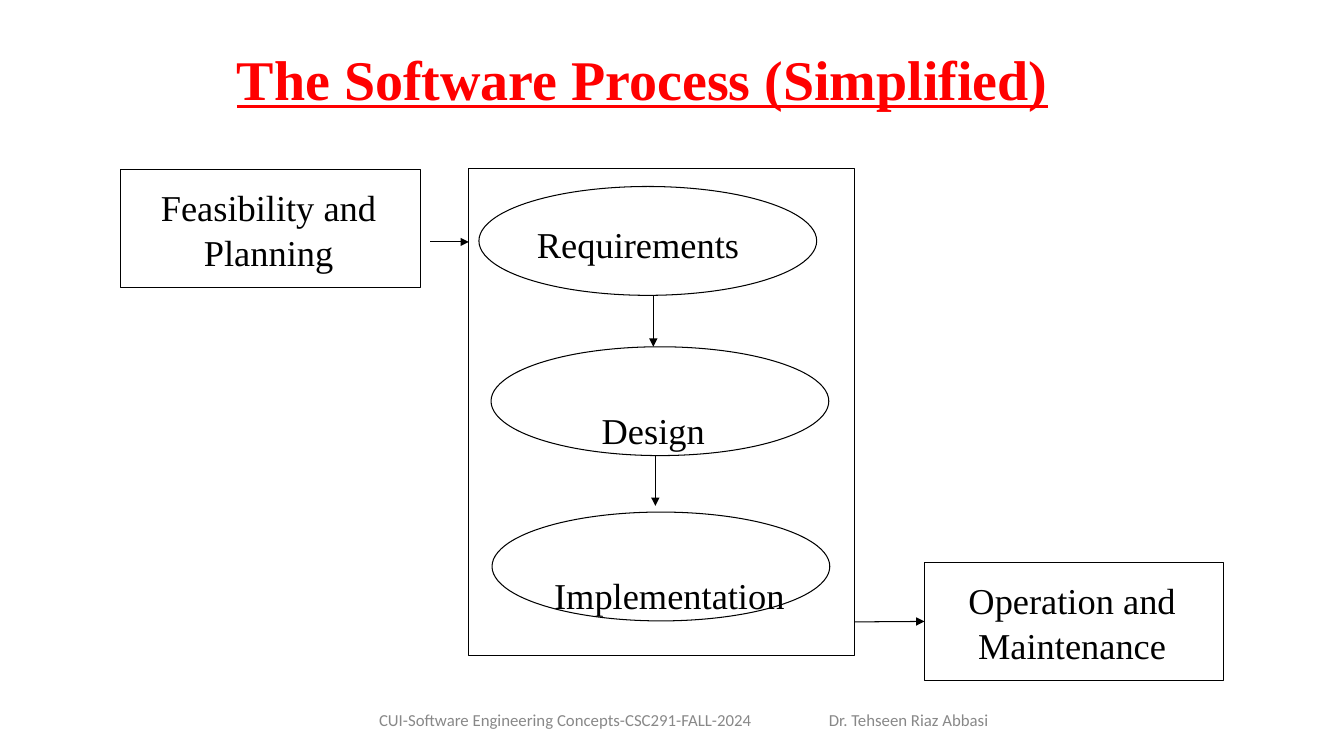
from lxml import etree
from pptx import Presentation
from pptx.dml.color import RGBColor
from pptx.enum import shapes, text
from pptx.oxml import ns
from pptx.util import Inches, Pt

COLORS = {"title": "FF0000", "ink": "000000", "footer": "888888"}
SERIF, SANS = "Times New Roman", "Calibri"


def write(sp, content, size=26, font=SERIF, color="ink", bold=False, underline=False,
          align=text.PP_ALIGN.CENTER, anchor=text.MSO_ANCHOR.MIDDLE, spacing=1.0, wrap=True):
    tf = sp.text_frame
    tf.word_wrap = wrap
    tf.auto_size = text.MSO_AUTO_SIZE.NONE
    tf.vertical_anchor = anchor
    tf.margin_left = tf.margin_top = tf.margin_right = tf.margin_bottom = 0
    p = tf.paragraphs[0]
    p.alignment = align
    p.line_spacing = spacing
    r = p.add_run()
    r.text = content
    r.font.name = font
    r.font.size = Pt(size)
    r.font.bold = bold
    r.font.underline = underline
    r.font.color.rgb = RGBColor.from_string(COLORS[color])
    return sp


class Diagram:
    line_width = Pt(0.75)

    def __init__(self, prs):
        self.s = prs.slides.add_slide(prs.slide_layouts[5])

    def title(self, content, *box):
        sp = self.s.shapes.title
        sp.left, sp.top, sp.width, sp.height = map(Inches, box)
        write(sp, content, size=40, color="title", bold=True, underline=True,
              align=text.PP_ALIGN.LEFT, anchor=text.MSO_ANCHOR.TOP)

    def outline(self, kind, *box):
        sp = self.s.shapes.add_shape(kind, *map(Inches, box))
        sp.shadow.inherit = False
        sp.fill.background()
        sp.line.color.rgb = RGBColor.from_string(COLORS["ink"])
        sp.line.width = self.line_width
        return sp

    def rect(self, *box):
        return self.outline(shapes.MSO_SHAPE.RECTANGLE, *box)

    def stage(self, content, *box):
        sp = write(self.rect(*box), content, spacing=1.05)
        sp.text_frame.margin_right = Inches(0.04)
        return sp

    def label(self, content, *box, **style):
        sp = self.s.shapes.add_textbox(*map(Inches, box))
        return write(sp, content, **style)

    def step(self, content, left, top, text_x, text_y):
        self.outline(shapes.MSO_SHAPE.OVAL, left, top, 3.35, 1.08)
        self.label(content, text_x - 1.25, text_y - 0.2, 2.5, 0.4)

    def arrow(self, x1, y1, x2, y2):
        c = self.s.shapes.add_connector(shapes.MSO_CONNECTOR.STRAIGHT,
                                        *map(Inches, (x1, y1, x2, y2)))
        c.line.color.rgb = RGBColor.from_string(COLORS["ink"])
        c.line.width = self.line_width
        etree.SubElement(c.line._get_or_add_ln(), ns.qn("a:tailEnd"), type="triangle")
        etree.SubElement(c._element.spPr, ns.qn("a:effectLst"))
        return c

    def footer(self, content, left, width):
        self.label(content, left, 7.07, width, 0.2, size=12, font=SANS, color="footer",
                   align=text.PP_ALIGN.LEFT, anchor=text.MSO_ANCHOR.TOP,
                   spacing=Pt(12.4), wrap=False)


def main():
    prs = Presentation()
    prs.slide_width, prs.slide_height = Inches(13.33), Inches(7.5)
    d = Diagram(prs)
    d.title("The Software Process (Simplified)", 2.35, 0.44, 8.63, 0.69)

    d.stage("Feasibility and Planning", 1.2, 1.68, 2.97, 1.17)
    d.rect(4.65, 1.67, 3.83, 4.83)
    operation = d.stage("Operation and Maintenance", 9.17, 5.58, 2.97, 1.17)

    for step in (("Requirements", 4.75, 1.85, 6.33, 2.42),
                 ("Design", 4.87, 3.44, 6.48, 4.27),
                 ("Implementation", 4.88, 5.08, 6.64, 5.9)):
        d.step(*step)

    d.arrow(4.27, 2.4, 4.65, 2.4)
    d.arrow(6.48, 2.94, 6.48, 3.44)
    d.arrow(6.5, 4.52, 6.5, 5.02)
    d.arrow(8.48, 6.17, 9.17, 6.17).end_connect(operation, 1)

    d.footer("CUI-Software Engineering Concepts-CSC291-FALL-2024", 3.76, 3.87)
    d.footer("Dr. Tehseen Riaz Abbasi", 8.22, 1.75)
    prs.save("out.pptx")


if __name__ == "__main__":
    main()
